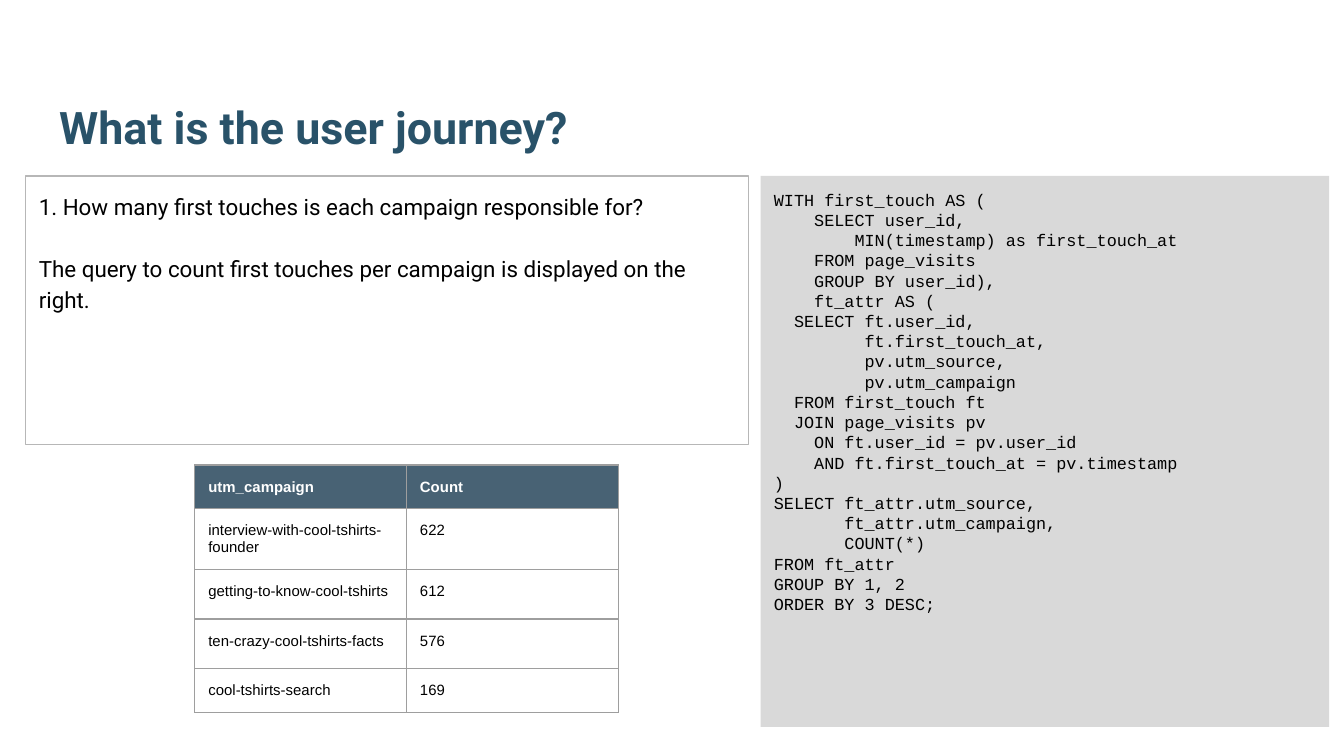
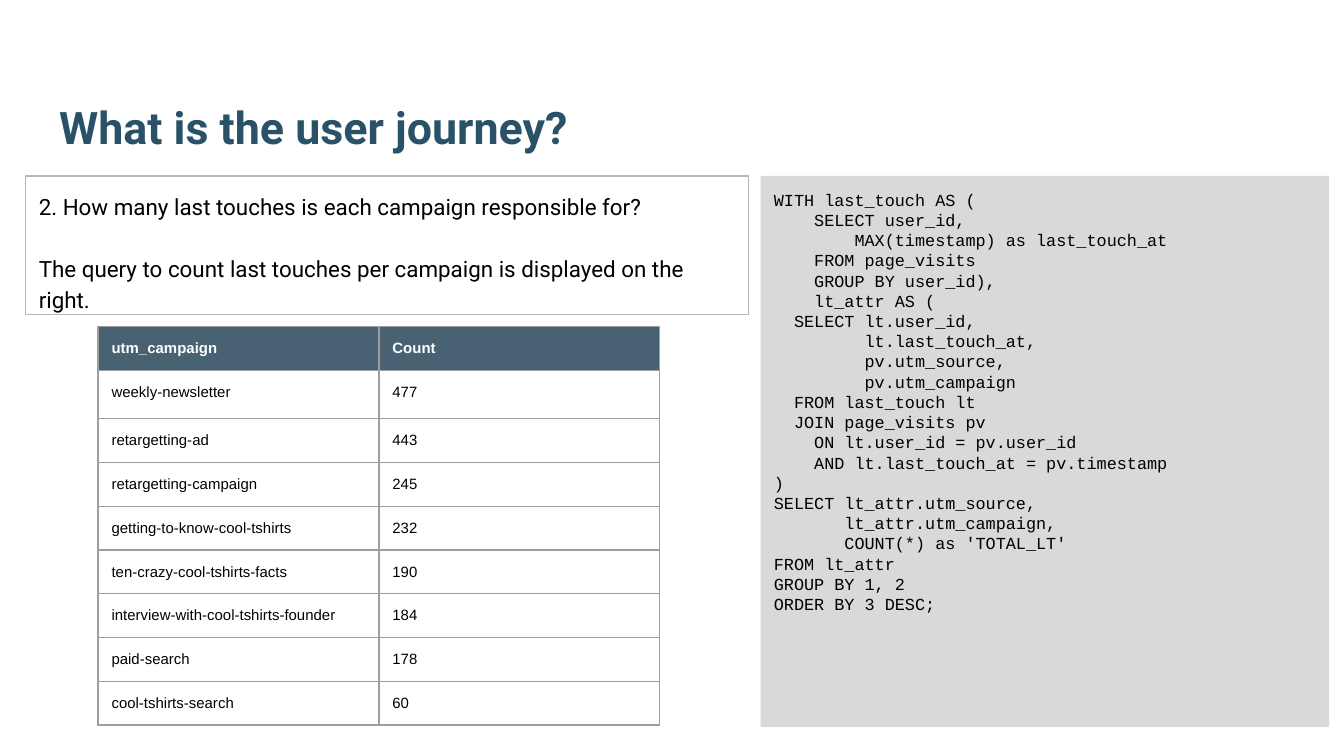
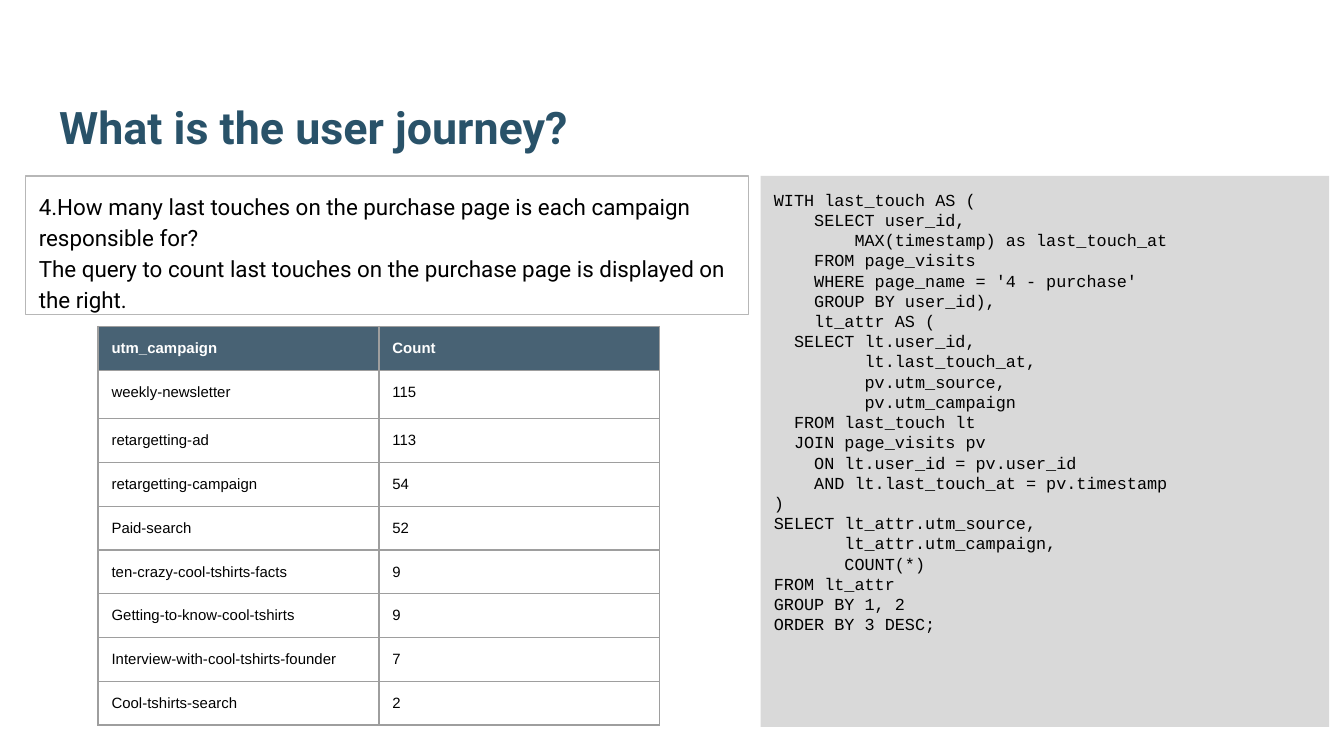
from lxml.etree import SubElement
from pptx import Presentation
from pptx.dml.color import RGBColor
from pptx.enum.shapes import MSO_SHAPE
from pptx.enum.text import MSO_ANCHOR, PP_ALIGN
from pptx.oxml import parse_xml
from pptx.oxml.ns import nsdecls, qn
from pptx.util import Inches, Pt

COLORS = {
    "title": "295269",
    "text": "000000",
    "code_fill": "D9D9D9",
    "box_line": "B7B7B7",
    "header_fill": "204056",
    "header_text": "FFFFFF",
    "table_line": "9E9E9E",
}
GRID = Inches(0.1)  # one column or row
COLUMNS, ROWS = 100, 56.25
TITLE_ONLY = 5
TOP = 13.1  # row where the question and the code start


def color(name):
    return RGBColor.from_string(COLORS[name])


class Deck:
    """Holds the shared style and the current slide; lengths are in grid units."""

    def __init__(self):
        self.prs = Presentation()
        self.prs.slide_width, self.prs.slide_height = self.units(COLUMNS, ROWS)
        self.slide = None

    @staticmethod
    def units(*lengths):
        return [round(length * GRID) for length in lengths]

    @staticmethod
    def format_text(tf, font, size, color_name, bold=False, spacing=None):
        tf.word_wrap = True
        tf.margin_left = tf.margin_right = tf.margin_top = tf.margin_bottom = GRID
        for p in tf.paragraphs:
            p.alignment = PP_ALIGN.LEFT
            p.line_spacing = spacing
            for r in p.runs:
                r.font.name, r.font.size, r.font.bold = font, Pt(size), bold
                r.font.color.rgb = color(color_name)

    def add_slide(self, title):
        self.slide = self.prs.slides.add_slide(self.prs.slide_layouts[TITLE_ONLY])
        sp = self.slide.shapes.title
        sp.left, sp.top, sp.width, sp.height = self.units(3.4, 3.2, 93.2, 9.2)
        sp.text_frame.text = title
        sp.text_frame.vertical_anchor = MSO_ANCHOR.BOTTOM
        self.format_text(sp.text_frame, "Roboto", 24, "title", bold=True)

    def add_box(self, left, top, width, height, text):
        sp = self.slide.shapes.add_shape(
            MSO_SHAPE.RECTANGLE, *self.units(left, top, width, height))
        sp.shadow.inherit = False
        sp.text_frame.text = text
        sp.text_frame.vertical_anchor = MSO_ANCHOR.TOP
        return sp

    def add_code(self, code):
        sp = self.add_box(56.6, TOP, 42.3, 41, code)
        sp.fill.solid()
        sp.fill.fore_color.rgb = color("code_fill")
        sp.line.fill.background()
        self.format_text(sp.text_frame, "Courier New", 9, "text")

    def add_question(self, question, answer, height, gap):
        sp = self.add_box(1.9, TOP, 53.8, height, f"{question}\n{answer}")
        sp.fill.background()
        sp.line.color.rgb = color("box_line")
        sp.line.width = Pt(0.75)
        self.format_text(sp.text_frame, "Roboto", 12, "text", spacing=1.15)
        sp.text_frame.paragraphs[1].space_before = Pt(gap)

    def add_table(self, left, top, width, row_heights, counts):
        rows = [("utm_campaign", "Count"), *counts]
        table = self.slide.shapes.add_table(
            len(rows), 2, *self.units(left, top, width, sum(row_heights))).table
        table.horz_banding = False
        for row, height in zip(table.rows, row_heights):
            row.height, = self.units(height)
        for i, values in enumerate(rows):
            for j, value in enumerate(values):
                self.fill_cell(table.cell(i, j), str(value), header=i == 0)

    def fill_cell(self, cell, text, header):
        cell.text = text
        cell.margin_left = cell.margin_right = GRID
        cell.margin_top = cell.margin_bottom = GRID
        self.format_text(cell.text_frame, "Arial", 8,
                         "header_text" if header else "text", bold=header)
        tcPr = cell._tc.get_or_add_tcPr()
        if header:
            cell.fill.solid()
            cell.fill.fore_color.rgb = color("header_fill")
            rgb = tcPr.find(f".//{qn('a:srgbClr')}")
            SubElement(rgb, qn("a:alpha"), val="82000")
        else:
            cell.fill.background()
        for i, side in enumerate("LRTB"):
            tcPr.insert(i, parse_xml(
                f'<a:ln{side} {nsdecls("a")} w="{Pt(0.75)}"><a:solidFill>'
                f'<a:srgbClr val="{COLORS["table_line"]}"/></a:solidFill></a:ln{side}>'))


def touch_query(touch, aggregate, where="", count="COUNT(*)"):
    """SQL that counts the first or last touches of each campaign."""
    t = touch[0] + "t"
    return f"""WITH {touch}_touch AS (
    SELECT user_id,
        {aggregate}(timestamp) as {touch}_touch_at
    FROM page_visits{where}
    GROUP BY user_id),
    {t}_attr AS (
  SELECT {t}.user_id,
         {t}.{touch}_touch_at,
         pv.utm_source,
         pv.utm_campaign
  FROM {touch}_touch {t}
  JOIN page_visits pv
    ON {t}.user_id = pv.user_id
    AND {t}.{touch}_touch_at = pv.timestamp
)
SELECT {t}_attr.utm_source,
       {t}_attr.utm_campaign,
       {count}
FROM {t}_attr
GROUP BY 1, 2
ORDER BY 3 DESC;"""


SMALL = {"height": 20, "gap": 16.5,
         "table": (14.5, 34.6, 31.5, [2.5, 3.7, 3.7, 3.7, 2.5])}
LARGE = {"height": 10.3, "gap": 16.5,
         "table": (7.3, 24.3, 41.8, [2.7, 3.6, 2.8, 2.8] + [2.7] * 5)}

SLIDES = [
    (SMALL,
     "1. How many first touches is each campaign responsible for?",
     "The query to count first touches per campaign is displayed on the right.",
     touch_query("first", "MIN"),
     [("interview-with-cool-tshirts-founder", 622),
      ("getting-to-know-cool-tshirts", 612),
      ("ten-crazy-cool-tshirts-facts", 576),
      ("cool-tshirts-search", 169)]),
    (LARGE,
     "2. How many last touches is each campaign responsible for?",
     "The query to count last touches per campaign is displayed on the right.",
     touch_query("last", "MAX", count="COUNT(*) as 'TOTAL_LT'"),
     [("weekly-newsletter", 477),
      ("retargetting-ad", 443),
      ("retargetting-campaign", 245),
      ("getting-to-know-cool-tshirts", 232),
      ("ten-crazy-cool-tshirts-facts", 190),
      ("interview-with-cool-tshirts-founder", 184),
      ("paid-search", 178),
      ("cool-tshirts-search", 60)]),
    ({**LARGE, "gap": 0},
     "4.How many last touches on the purchase page is each campaign responsible for?",
     "The query to count last touches on the purchase page is displayed on the right.",
     touch_query("last", "MAX", where="\n    WHERE page_name = '4 - purchase'"),
     [("weekly-newsletter", 115),
      ("retargetting-ad", 113),
      ("retargetting-campaign", 54),
      ("Paid-search", 52),
      ("ten-crazy-cool-tshirts-facts", 9),
      ("Getting-to-know-cool-tshirts", 9),
      ("Interview-with-cool-tshirts-founder", 7),
      ("Cool-tshirts-search", 2)]),
]


def main():
    deck = Deck()
    for layout, question, answer, code, counts in SLIDES:
        deck.add_slide("What is the user journey?")
        deck.add_code(code)
        deck.add_question(question, answer, layout["height"], layout["gap"])
        deck.add_table(*layout["table"], counts)
    deck.prs.save("out.pptx")


if __name__ == "__main__":
    main()
